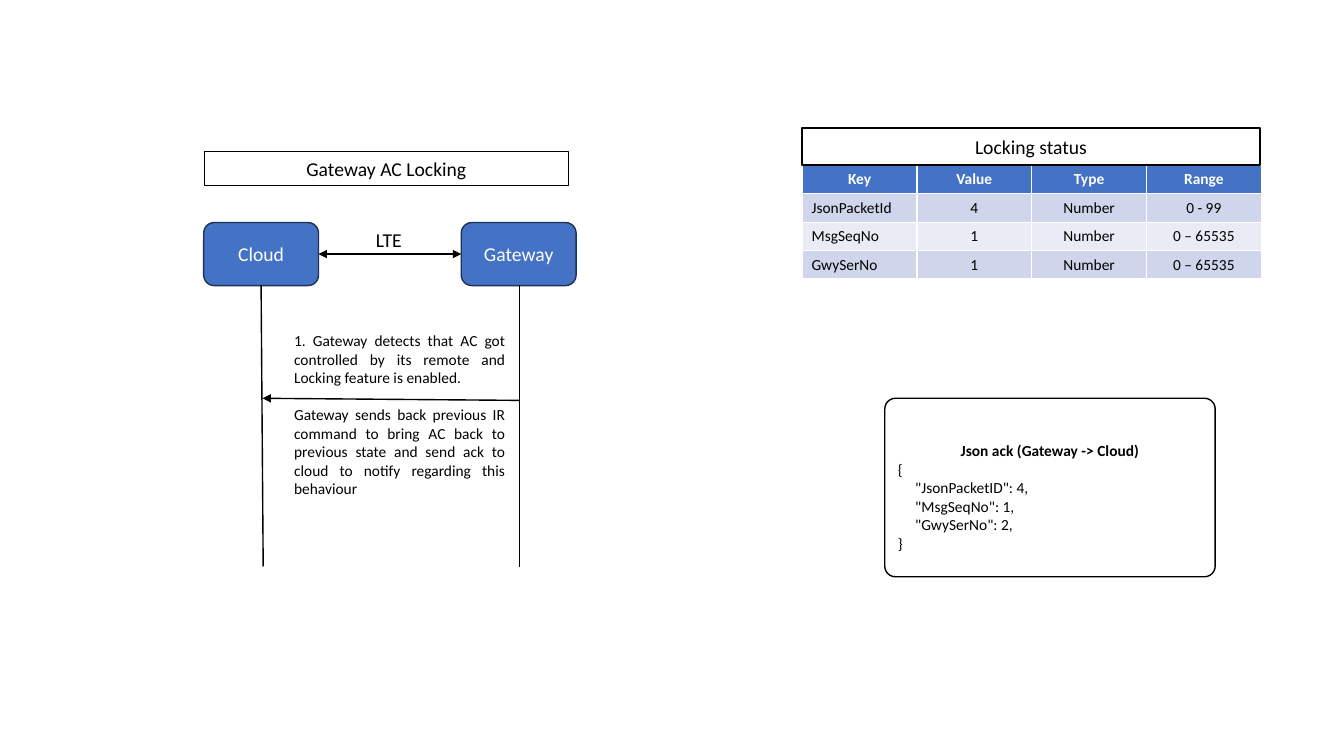
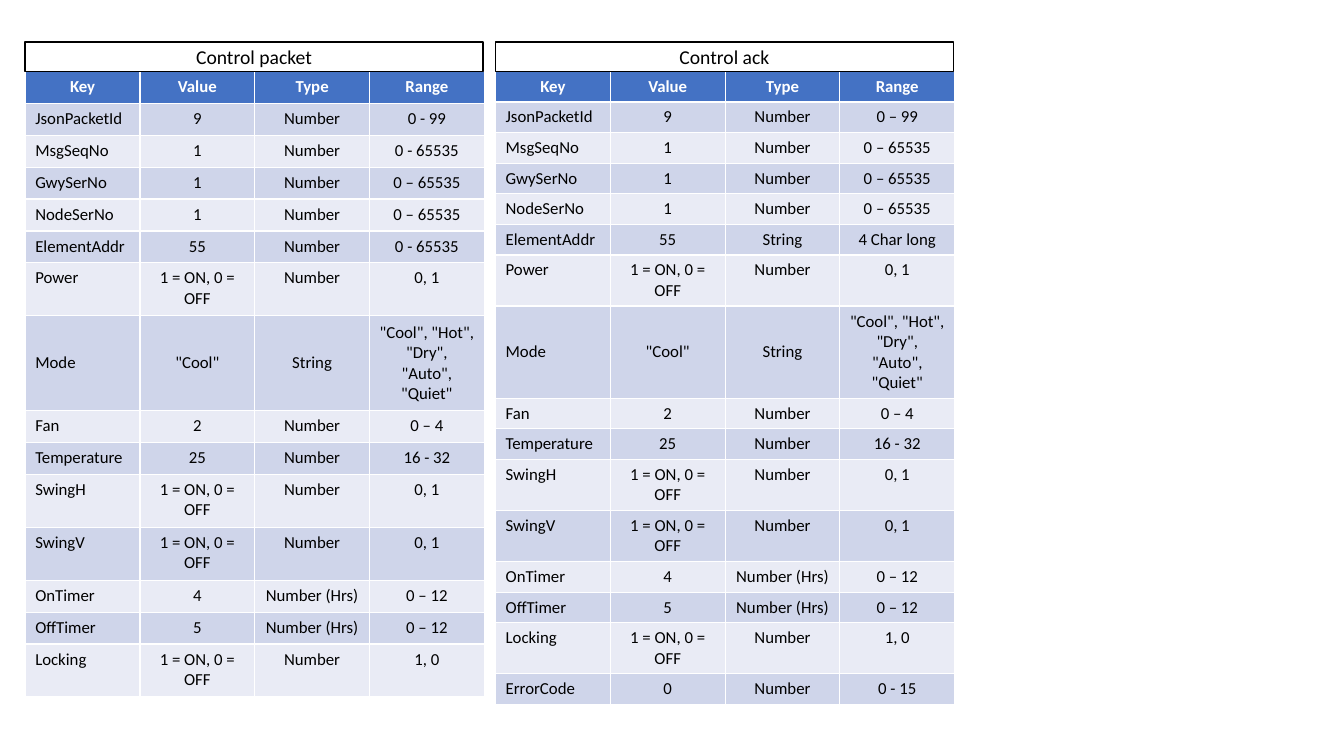
from lxml import etree
from pptx import Presentation
from pptx.dml.color import RGBColor
from pptx.enum import shapes, text
from pptx.oxml import ns
from pptx.util import Pt

FONT = "Calibri"
BLACK, WHITE, BLUE, NAVY = "000000", "FFFFFF", "4472C4", "1E3256"
BANDS = ["E9EBF5", "CFD5EA"]
CENTER, LEFT, JUSTIFY = text.PP_ALIGN.CENTER, text.PP_ALIGN.LEFT, text.PP_ALIGN.JUSTIFY
TOP, MIDDLE = text.MSO_ANCHOR.TOP, text.MSO_ANCHOR.MIDDLE
RECT, ROUNDED = shapes.MSO_SHAPE.RECTANGLE, shapes.MSO_SHAPE.ROUNDED_RECTANGLE
COLUMN_WIDTH = 82

HEADER = ("Key", "Value", "Type", "Range")
SWITCH = "1 = ON, 0 = OFF"
MODES = '"Cool", "Hot", "Dry", "Auto", "Quiet"'
WRAPPED_LINES = {SWITCH: 2, MODES: 4}


def write(frame, lines, size=14, colour=BLACK, align=CENTER, bold=False):
    frame.word_wrap = True
    for i, line in enumerate(lines):
        paragraph = frame.paragraphs[0] if i == 0 else frame.add_paragraph()
        paragraph.alignment = align
        run = paragraph.add_run()
        run.text = line
        run.font.name = FONT
        run.font.size = Pt(size)
        run.font.bold = bold
        run.font.color.rgb = RGBColor.from_string(colour)


def packet_table(slide, heading, rows, left, top, heading_height, size, line_height, padding, margin):
    width = COLUMN_WIDTH * len(HEADER)
    rows = [HEADER] + rows
    heights = [padding + line_height * max(WRAPPED_LINES.get(value, 1) for value in row) for row in rows]
    table = slide.shapes.add_table(
        len(rows), len(HEADER), Pt(left), Pt(top), Pt(width), Pt(sum(heights))).table
    for column in table.columns:
        column.width = Pt(COLUMN_WIDTH)
    for r, row in enumerate(rows):
        table.rows[r].height = Pt(heights[r])
        for c, value in enumerate(row):
            cell = table.cell(r, c)
            cell.fill.solid()
            cell.fill.fore_color.rgb = RGBColor.from_string(BANDS[r % 2] if r else BLUE)
            cell.margin_left = cell.margin_right = Pt(2 * margin)
            cell.margin_top = cell.margin_bottom = Pt(margin)
            cell.vertical_anchor = MIDDLE if row[0] in ("ElementAddr", "Mode") else TOP
            write(cell.text_frame, [value], size, BLACK if r else WHITE,
                  LEFT if r and c == 0 else CENTER, r == 0)
    caption = slide.shapes.add_shape(
        RECT, Pt(left), Pt(top - heading_height), Pt(width - 1), Pt(heading_height))
    caption.shadow.inherit = False
    caption.fill.solid()
    caption.fill.fore_color.rgb = RGBColor.from_string(WHITE)
    caption.line.color.rgb = RGBColor.from_string(BLACK)
    caption.line.width = Pt(1)
    caption.text_frame.vertical_anchor = MIDDLE
    write(caption.text_frame, [heading])


deck = Presentation()
deck.slide_width, deck.slide_height = Pt(960), Pt(540)

locking = deck.slides.add_slide(deck.slide_layouts[5])
title = locking.shapes.title
title.left, title.top, title.width, title.height = Pt(146), Pt(108), Pt(260), Pt(24.5)
title.text_frame.auto_size = text.MSO_AUTO_SIZE.NONE
write(title.text_frame, ["Gateway AC Locking"])

cloud = locking.shapes.add_shape(ROUNDED, Pt(145.5), Pt(159), Pt(82), Pt(45))
gateway = locking.shapes.add_shape(ROUNDED, Pt(329.5), Pt(159), Pt(82), Pt(45))
ack = locking.shapes.add_shape(ROUNDED, Pt(632), Pt(284.5), Pt(236), Pt(127.5))
ack.adjustments[0] = 0.06
for part, fill, border in [(title, WHITE, BLACK), (cloud, BLUE, NAVY),
                           (gateway, BLUE, NAVY), (ack, WHITE, BLACK)]:
    part.shadow.inherit = False
    part.fill.solid()
    part.fill.fore_color.rgb = RGBColor.from_string(fill)
    part.line.color.rgb = RGBColor.from_string(border)
    part.line.width = Pt(1)
    part.text_frame.vertical_anchor = MIDDLE
write(cloud.text_frame, ["Cloud"], colour=WHITE)
write(gateway.text_frame, ["Gateway"], colour=WHITE)

ack.text_frame.margin_top = Pt(17)
write(ack.text_frame, ["Json ack (Gateway -> Cloud)"], 11, bold=True)
for code in ["{", '     "JsonPacketID": 4,', '     "MsgSeqNo": 1,', '     "GwySerNo": 2,', "}"]:
    paragraph = ack.text_frame.add_paragraph()
    paragraph.alignment = LEFT
    run = paragraph.add_run()
    run.text = code
    run.font.name = FONT
    run.font.size = Pt(11)
    run.font.color.rgb = RGBColor.from_string(BLACK)

for x1, y1, x2, y2, arrow_ends in [
    (186.5, 203.5, 188, 404.5, []),
    (371, 203.5, 371, 405, []),
    (227.5, 181.5, 329.5, 181.5, ["a:headEnd", "a:tailEnd"]),
    (371, 286, 187.5, 284.5, ["a:tailEnd"]),
]:
    link = locking.shapes.add_connector(
        shapes.MSO_CONNECTOR.STRAIGHT, Pt(x1), Pt(y1), Pt(x2), Pt(y2))
    link.line.color.rgb = RGBColor.from_string(BLACK)
    link.line.width = Pt(1)
    properties = link._element.spPr
    for end in arrow_ends:
        etree.SubElement(properties.find(ns.qn("a:ln")), ns.qn(end), type="triangle")
    etree.SubElement(properties, ns.qn("a:effectLst"))

for note, left, top, width, height, size, align in [
    ("LTE", 247.5, 159, 60.5, 24.5, 14, CENTER),
    ("1. Gateway detects that AC got controlled by its remote and Locking feature is enabled.",
     203, 233, 165, 47.5, 11, JUSTIFY),
    ("Gateway sends back previous IR command to bring AC back to previous state and send ack "
     "to cloud to notify regarding this behaviour", 203, 286, 165, 74, 11, JUSTIFY),
]:
    message = locking.shapes.add_textbox(Pt(left), Pt(top), Pt(width), Pt(height))
    write(message.text_frame, [note], size, align=align)

status_rows = [
    ("JsonPacketId", "4", "Number", "0 - 99"),
    ("MsgSeqNo", "1", "Number", "0 – 65535"),
    ("GwySerNo", "1", "Number", "0 – 65535"),
]
packet_table(locking, "Locking status", status_rows, 573, 118, 26.5, 11, 13.5, 6.85, 3.4)

control = deck.slides.add_slide(deck.slide_layouts[6])
serial_rows = [
    ("GwySerNo", "1", "Number", "0 – 65535"),
    ("NodeSerNo", "1", "Number", "0 – 65535"),
]
setting_rows = [
    ("Power", SWITCH, "Number", "0, 1"),
    ("Mode", '"Cool"', "String", MODES),
    ("Fan", "2", "Number", "0 – 4"),
    ("Temperature", "25", "Number", "16 - 32"),
    ("SwingH", SWITCH, "Number", "0, 1"),
    ("SwingV", SWITCH, "Number", "0, 1"),
    ("OnTimer", "4", "Number (Hrs)", "0 – 12"),
    ("OffTimer", "5", "Number (Hrs)", "0 – 12"),
    ("Locking", SWITCH, "Number", "1, 0"),
]
packet_rows = [
    ("JsonPacketId", "9", "Number", "0 - 99"),
    ("MsgSeqNo", "1", "Number", "0 - 65535"),
    *serial_rows,
    ("ElementAddr", "55", "Number", "0 - 65535"),
    *setting_rows,
]
ack_rows = [
    ("JsonPacketId", "9", "Number", "0 – 99"),
    ("MsgSeqNo", "1", "Number", "0 – 65535"),
    *serial_rows,
    ("ElementAddr", "55", "String", "4 Char long"),
    *setting_rows,
    ("ErrorCode", "0", "Number", "0 - 15"),
]
packet_table(control, "Control packet", packet_rows, 18, 51, 21, 12, 15, 7.8, 3.6)
packet_table(control, "Control ack", ack_rows, 354, 51, 21, 12, 14.65, 7.2, 3.6)

deck.save("out.pptx")
